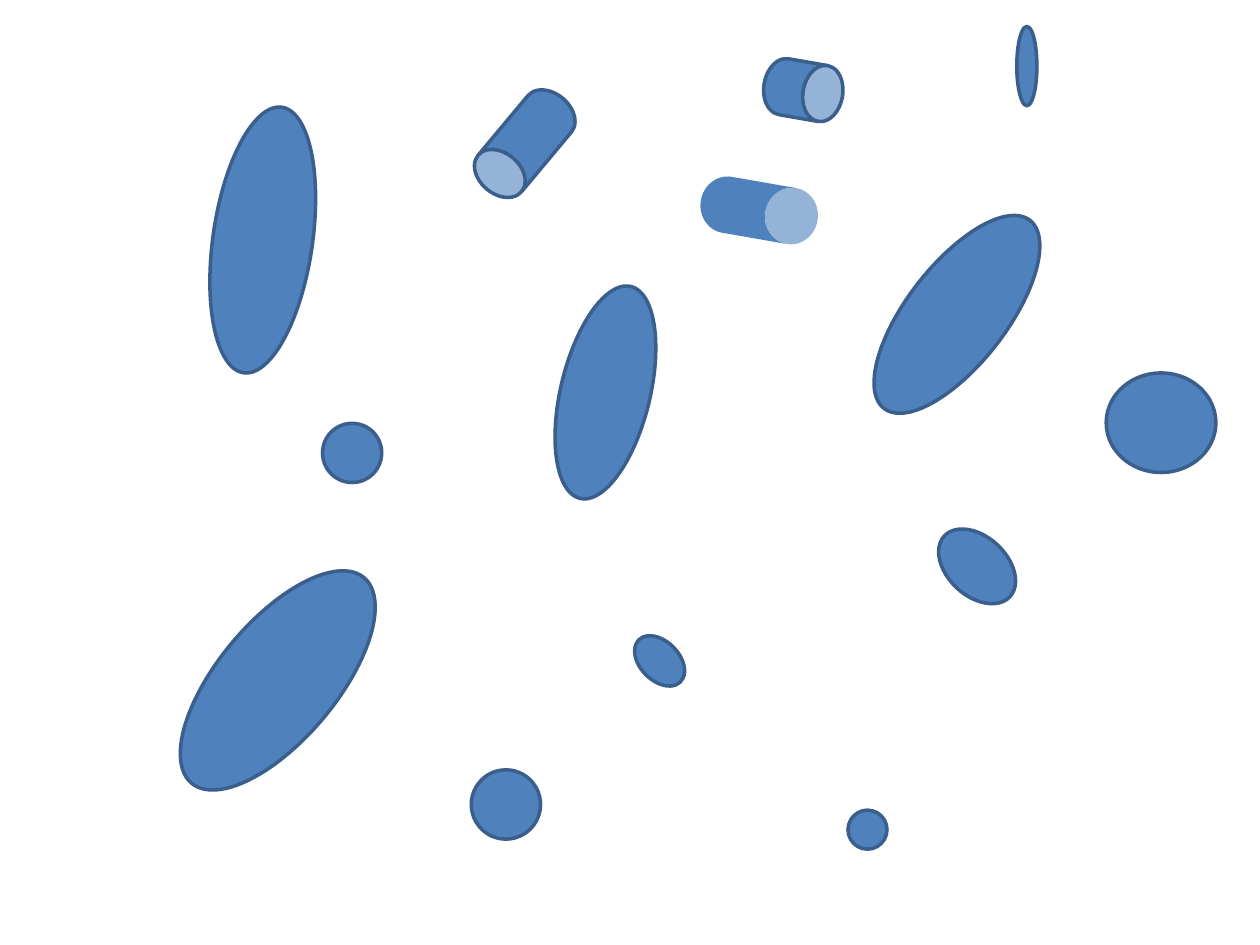
from pptx import Presentation
from pptx import util as u
from pptx.dml import color
from pptx.enum import shapes

COLORS = {"fill": "4F81BD", "outline": "3A5F8C"}

presentation = Presentation()
presentation.slide_width = u.Inches(10)
presentation.slide_height = u.Inches(7.5)
slide = presentation.slides.add_slide(presentation.slide_layouts[6])


def add_solid(kind, left, top, width, height, rotation, outlined=True):
    shape = slide.shapes.add_shape(
        kind, u.Inches(left), u.Inches(top), u.Inches(width), u.Inches(height)
    )
    shape.rotation = rotation
    shape.shadow.inherit = False
    shape.fill.solid()
    shape.fill.fore_color.rgb = color.RGBColor.from_string(COLORS["fill"])
    if outlined:
        shape.line.color.rgb = color.RGBColor.from_string(COLORS["outline"])
        shape.line.width = u.Pt(2)
    else:
        shape.line.fill.background()
    return shape


tilted_ellipses = [
    (1.69, 0.84, 0.79, 2.13, 8.2),
    (4.45, 2.25, 0.71, 1.73, 13.5),
    (6.65, 2.1, 1.89, 0.79, 307.8),
    (1.14, 4.93, 2.13, 0.94, 310),
    (5.08, 5.01, 0.31, 0.47, 315.5),
    (7.52, 4.14, 0.47, 0.71, 312.8),
]
for left, top, width, height, rotation in tilted_ellipses:
    add_solid(shapes.MSO_SHAPE.OVAL, left, top, width, height, rotation)

cylinders = [
    (5.8, 1.2, 0.94, 99.9, 0.933, False),
    (6.15, 0.4, 0.63, 99.9, 0.933, True),
    (3.94, 0.67, 0.94, 219.9, 0.718, True),
]
for left, top, height, rotation, lid_depth, outlined in cylinders:
    cylinder = add_solid(
        shapes.MSO_SHAPE.CAN, left, top, 0.45, height, rotation, outlined
    )
    cylinder.adjustments[0] = lid_depth

upright_ellipses = [
    (2.56, 3.36, 0.47, 0.47),
    (8.07, 0.21, 0.16, 0.63),
    (6.73, 6.43, 0.31, 0.31),
    (3.74, 6.11, 0.55, 0.55),
    (8.78, 2.96, 0.87, 0.79),
]
for left, top, width, height in upright_ellipses:
    add_solid(shapes.MSO_SHAPE.OVAL, left, top, width, height, 0)

presentation.save("out.pptx")
